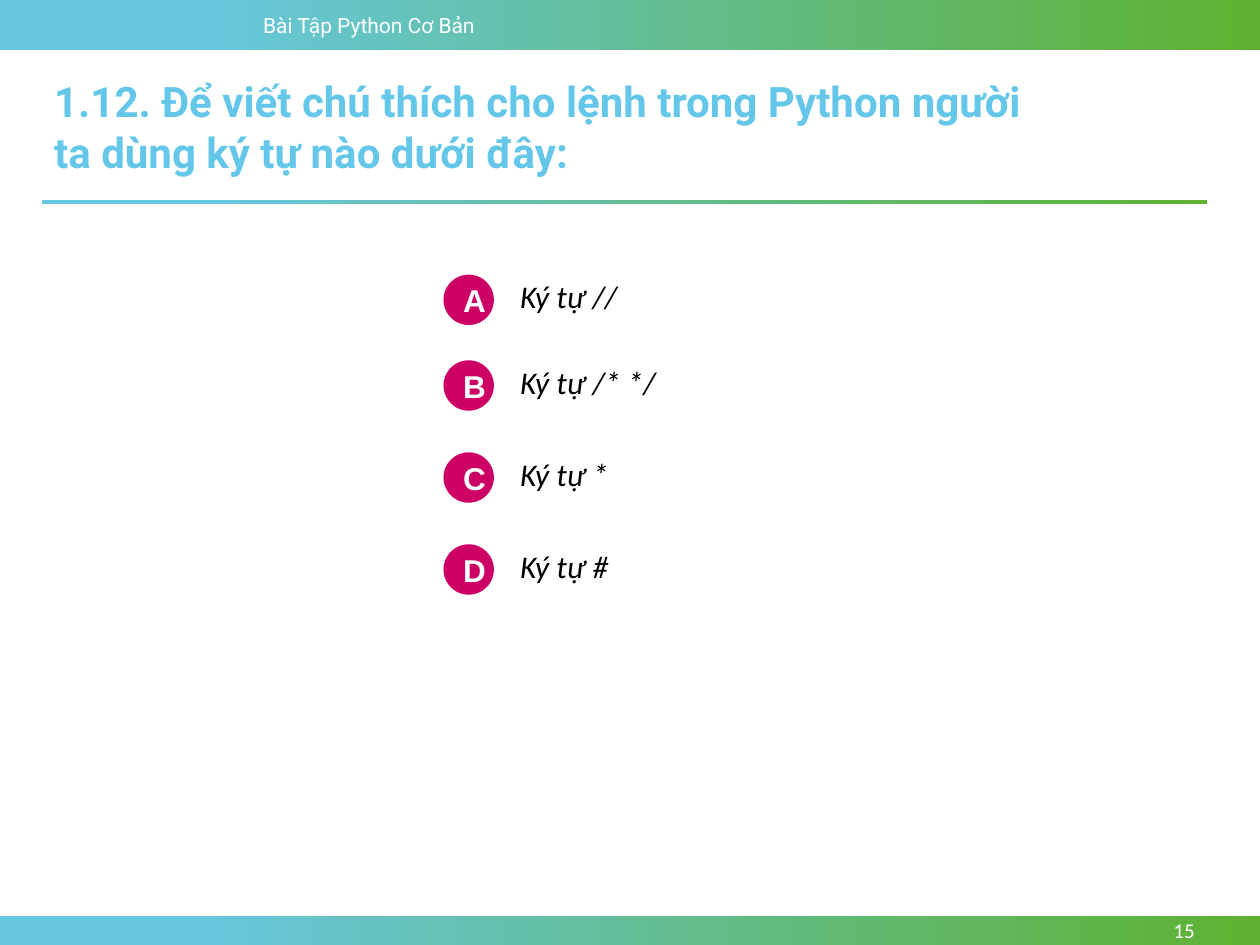
from dataclasses import dataclass

from pptx import Presentation
from pptx.dml.color import RGBColor as Rgb
from pptx.enum import shapes as sh, text as tx
from pptx.util import Inches, Pt


@dataclass(frozen=True)
class Theme:
    blue: str = "67C7DF"
    green: str = "5EB130"
    title: str = "64C7E9"
    badge: str = "CD0065"
    white: str = "FFFFFF"
    black: str = "000000"
    head: str = "Roboto"
    body: str = "Calibri"
    mark: str = "Arial"
    big: int = 24
    mid: int = 18
    small: int = 12


THEME = Theme()


def write(frame, words, face, size, color, bold=False, italic=False,
          align=tx.PP_ALIGN.LEFT, anchor=tx.MSO_ANCHOR.TOP):
    frame.word_wrap = True
    frame.auto_size = tx.MSO_AUTO_SIZE.NONE
    frame.vertical_anchor = anchor
    line = frame.paragraphs[0]
    line.text = words
    line.alignment = align
    font = line.font
    font.name, font.size = face, Pt(size)
    font.bold, font.italic = bold, italic
    font.color.rgb = Rgb.from_string(color)


def add_text(slide, box, words, *look, **more):
    item = slide.shapes.add_textbox(*map(Inches, box))
    write(item.text_frame, words, *look, **more)


def add_plain(slide, kind, box):
    item = slide.shapes.add_shape(kind, *map(Inches, box))
    item.shadow.inherit = False
    item.line.fill.background()
    return item


def add_band(slide, box):
    fill = add_plain(slide, sh.MSO_SHAPE.RECTANGLE, box).fill
    fill.gradient()
    fill.gradient_angle = 0
    ends = (0.15, THEME.blue), (1, THEME.green)
    for stop, (place, color) in zip(fill.gradient_stops, ends):
        stop.position = place
        stop.color.rgb = Rgb.from_string(color)


def add_header(slide, box):
    left, top, _, _ = box
    add_band(slide, box)
    add_text(slide, (left + 1.99, top + 0.05, 2.25, 0.3),
             "Bài Tập Python Cơ Bản", THEME.head, THEME.small, THEME.white)


def add_footer(slide, box):
    left, top, _, high = box
    add_band(slide, box)
    add_text(slide, (left + 8.66, top, 0.92, high), "15",
             THEME.body, THEME.small, THEME.white,
             align=tx.PP_ALIGN.RIGHT, anchor=tx.MSO_ANCHOR.MIDDLE)


def add_title(slide, box):
    left, top, wide, high = box
    title = slide.shapes.title
    title.left, title.top, title.width, title.height = map(
        Inches, (left, top, 7.93, 0.91))
    write(title.text_frame,
          "1.12. Để viết chú thích cho lệnh trong Python người "
          "ta dùng ký tự nào dưới đây:",
          THEME.head, THEME.big, THEME.title, bold=True)
    add_band(slide, (left, top + high - 0.03, wide, 0.03))


def add_choice(slide, box, mark, words):
    left, top, wide, high = box
    badge = add_plain(slide, sh.MSO_SHAPE.OVAL, (left, top, high, high))
    badge.fill.solid()
    badge.fill.fore_color.rgb = Rgb.from_string(THEME.badge)
    write(badge.text_frame, mark, THEME.mark, THEME.mid, THEME.white,
          bold=True, align=tx.PP_ALIGN.CENTER, anchor=tx.MSO_ANCHOR.MIDDLE)
    shift = 0.51
    add_text(slide, (left + shift, top - 0.03, wide - shift, high), words,
             THEME.body, THEME.mid, THEME.black, italic=True)


def add_choices(slide, box):
    left, top, wide, high = box
    drops = 0, 0.68, 1.41, 2.14
    answers = "Ký tự //", "Ký tự /* */", "Ký tự *", "Ký tự #"
    for mark, drop, words in zip("ABCD", drops, answers):
        add_choice(slide, (left, top + drop, wide, high - drops[-1]),
                   mark, words)


def main():
    deck = Presentation()
    deck.slide_width, deck.slide_height = Inches(10), Inches(7.5)
    slide = deck.slides.add_slide(deck.slide_layouts[5])
    add_header(slide, (0, 0, 10, 0.4))
    add_footer(slide, (0, 7.27, 10, 0.23))
    add_title(slide, (0.33, 0.55, 9.25, 1.07))
    add_choices(slide, (3.52, 2.18, 3.27, 2.54))
    deck.save("out.pptx")


if __name__ == "__main__":
    main()
